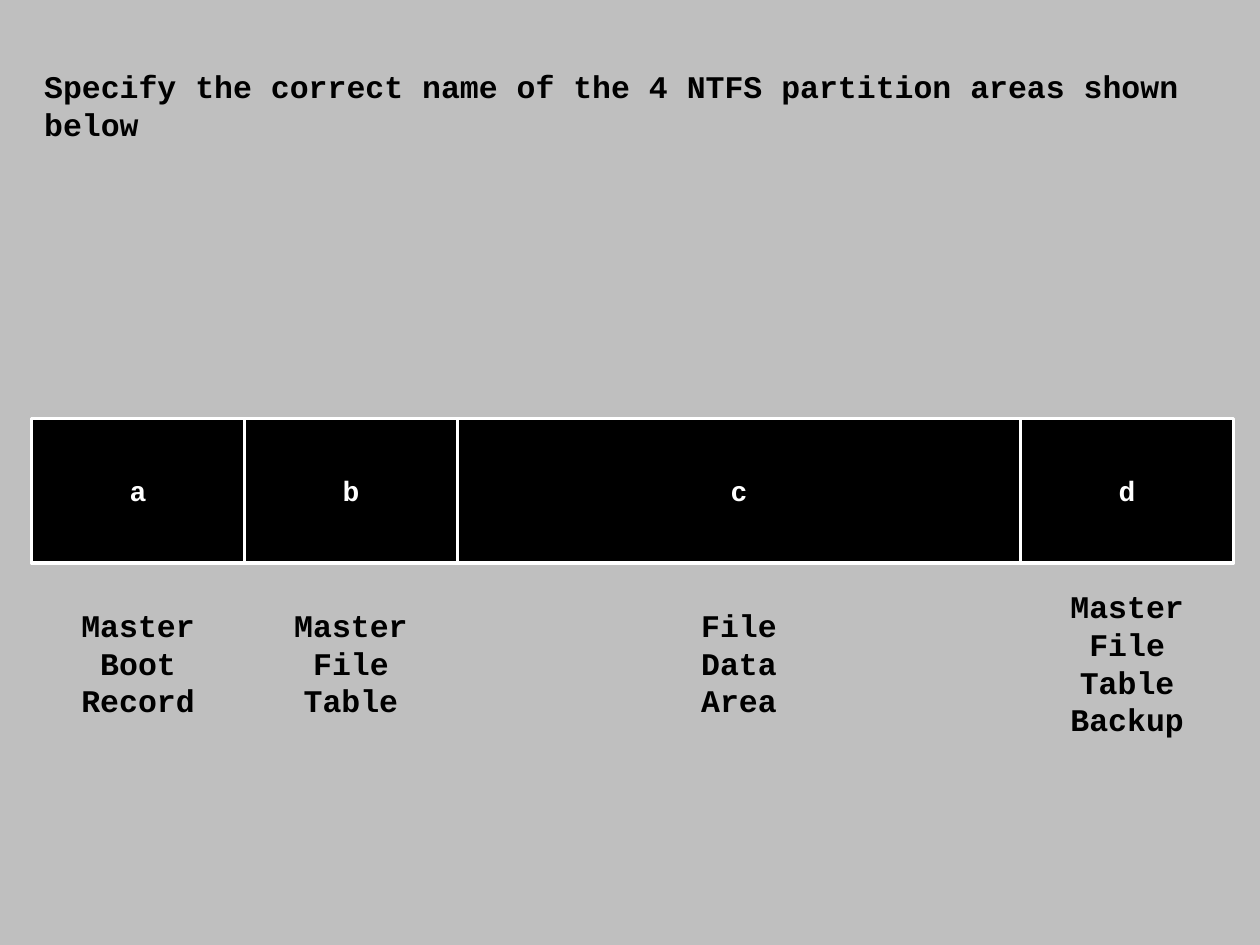
"""Build a quiz slide naming the four areas of an NTFS partition."""
from dataclasses import dataclass

from pptx import Presentation
from pptx.dml.color import RGBColor
from pptx.enum import shapes, text
from pptx.slide import Slide
from pptx.text.text import TextFrame
from pptx.util import Inches, Pt

BLACK = RGBColor(0x00, 0x00, 0x00)
WHITE = RGBColor(0xFF, 0xFF, 0xFF)
GREY = RGBColor(0xBF, 0xBF, 0xBF)
FONT = "Courier New"
LEFT = 0.25
BAR_TOP, BAR_HEIGHT = 3.32, 1.15
LABEL_MIDDLE = 5.26
LINE_HEIGHT, LABEL_PADDING = 0.3, 0.1


@dataclass(frozen=True)
class Area:
    letter: str
    width: float
    words: tuple[str, ...]
    label_width: float = 1.11


AREAS = (
    Area("a", 1.69, ("Master", "Boot", "Record")),
    Area("b", 1.69, ("Master", "File", "Table")),
    Area("c", 4.47, ("File", "Data", "Area"), 0.81),
    Area("d", 1.69, ("Master", "File", "Table", "Backup")),
)


def write(frame: TextFrame, lines: tuple[str, ...], size: int, color: RGBColor,
          alignment: text.PP_ALIGN = text.PP_ALIGN.CENTER) -> None:
    frame.text = "\n".join(lines)
    for paragraph in frame.paragraphs:
        paragraph.alignment = alignment
        paragraph.font.name = FONT
        paragraph.font.size = Pt(size)
        paragraph.font.bold = True
        paragraph.font.color.rgb = color


def add_question(slide: Slide, question: str) -> None:
    title = slide.shapes.title
    title.left, title.top = Inches(LEFT), Inches(0.48)
    title.width, title.height = Inches(9.49), Inches(0.87)
    frame = title.text_frame
    frame.auto_size = text.MSO_AUTO_SIZE.NONE
    frame.vertical_anchor = text.MSO_ANCHOR.TOP
    write(frame, (question,), 18, BLACK, text.PP_ALIGN.LEFT)


def add_block(slide: Slide, area: Area, left: float) -> None:
    block = slide.shapes.add_shape(
        shapes.MSO_SHAPE.RECTANGLE, Inches(left), Inches(BAR_TOP),
        Inches(area.width), Inches(BAR_HEIGHT))
    block.shadow.inherit = False
    block.fill.solid()
    block.fill.fore_color.rgb = BLACK
    block.line.color.rgb = WHITE
    block.line.width = Pt(2)
    block.text_frame.vertical_anchor = text.MSO_ANCHOR.MIDDLE
    write(block.text_frame, (area.letter,), 16, WHITE)


def add_label(slide: Slide, area: Area, left: float) -> None:
    height = len(area.words) * LINE_HEIGHT + LABEL_PADDING
    label = slide.shapes.add_textbox(
        Inches(left + (area.width - area.label_width) / 2),
        Inches(LABEL_MIDDLE - height / 2),
        Inches(area.label_width), Inches(height))
    label.text_frame.word_wrap = False
    label.text_frame.auto_size = text.MSO_AUTO_SIZE.SHAPE_TO_FIT_TEXT
    write(label.text_frame, area.words, 18, BLACK)


def main() -> None:
    presentation = Presentation()
    presentation.slide_width = Inches(10)
    presentation.slide_height = Inches(7.5)
    slide = presentation.slides.add_slide(
        presentation.slide_layouts.get_by_name("Title Only"))
    slide.background.fill.solid()
    slide.background.fill.fore_color.rgb = GREY
    add_question(slide, "Specify the correct name of the 4 NTFS partition "
                        "areas shown below")
    left = LEFT
    for area in AREAS:
        add_block(slide, area, left)
        add_label(slide, area, left)
        left += area.width
    presentation.save("out.pptx")


if __name__ == "__main__":
    main()
